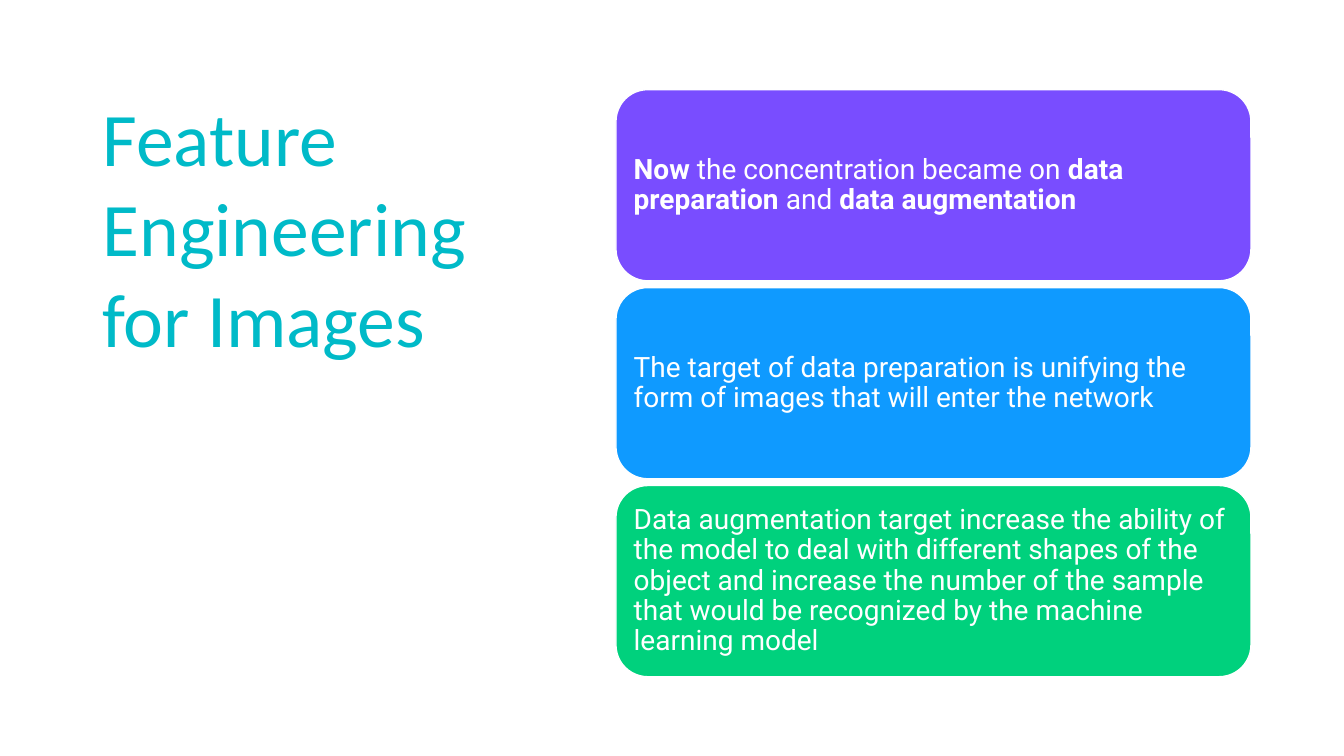
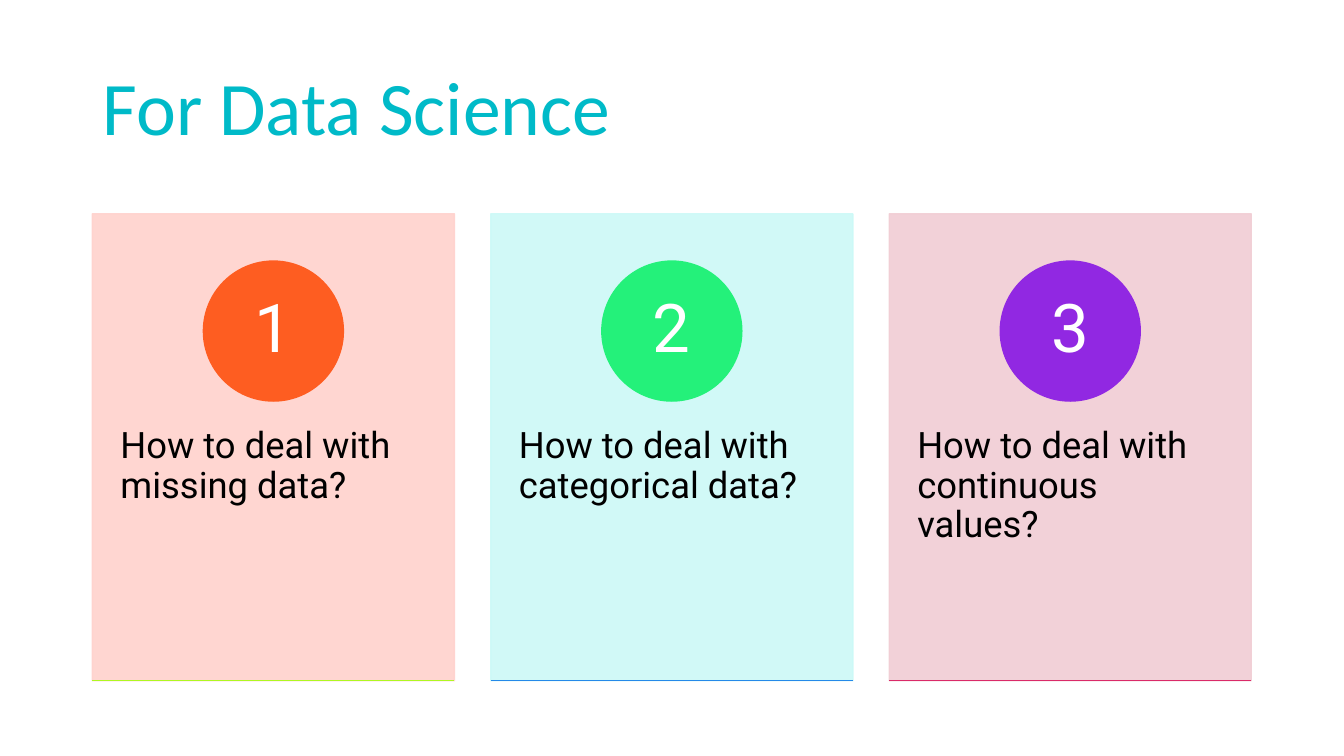
from dataclasses import dataclass
from pptx import Presentation
from pptx.dml.color import RGBColor
from pptx.enum.shapes import MSO_CONNECTOR, MSO_SHAPE
from pptx.enum.text import MSO_ANCHOR, MSO_AUTO_SIZE, PP_ALIGN
from pptx.oxml.ns import qn
from pptx.util import Pt
from lxml.etree import SubElement


@dataclass(frozen=True)
class Theme:
    title: str = "00BAC8"
    white: str = "FFFFFF"
    black: str = "000000"
    head: str = "Calibri"
    body: str = "Roboto"
    big: int = 54
    digit: int = 48
    card: int = 26
    panel: int = 20


THEME = Theme()

# Content: (text, bold) runs with a fill for each panel
IMAGES = "Feature Engineering for Images"
PANELS = [
    ("794DFF", [("Now", True), (" the concentration became on ", False),
                ("data preparation ", True), ("and", False),
                (" data augmentation", True)]),
    ("0F9AFF", [("The target of data preparation is unifying the form of "
                 "images that will enter the network", False)]),
    ("00D17D", [("Data augmentation target increase the ability of the model "
                 "to deal with different shapes of the object and increase "
                 "the number of the sample that would be recognized by the "
                 "machine learning model", False)]),
]
# Content: question, card fill, disc fill, base line
SCIENCE = "For Data Science"
CARDS = [
    ("How to deal with missing data?", "FFD2CD", "FE5D21", "AEF722"),
    ("How to deal with categorical data?", "CCF9F7", "24F17A", "2589E9"),
    ("How to deal with continuous values?", "F1CDD4", "9128E2", "DA2A69"),
]


def color(code):
    return RGBColor.from_string(code)


def assign(item, **values):
    for name, value in values.items():
        setattr(item, name, value)


def fade(shape, part):
    """Make the fill and line of a shape partly clear."""
    for tone in shape._element.spPr.iter(qn("a:srgbClr")):
        SubElement(tone, qn("a:alpha"), val=str(part * 1000))


def add_page(deck, text, box, anchor):
    page = deck.slides.add_slide(deck.slide_layouts[5])
    title = page.shapes.title
    assign(title, **dict(zip(("left", "top", "width", "height"), map(Pt, box))))
    frame = title.text_frame
    assign(frame, text=text, word_wrap=True, vertical_anchor=anchor,
           auto_size=MSO_AUTO_SIZE.NONE)
    para = frame.paragraphs[0]
    para.alignment = PP_ALIGN.LEFT
    assign(para.font, name=THEME.head, size=Pt(THEME.big))
    para.font.color.rgb = color(THEME.title)
    return page


def add_block(page, kind, box, fill, line):
    shape = page.shapes.add_shape(kind, *map(Pt, box))
    shape.shadow.inherit = False
    shape.fill.solid()
    shape.fill.fore_color.rgb = color(fill)
    shape.line.color.rgb = color(line)
    shape.line.width = Pt(1)
    return shape


def write(shape, runs, size, tone, pad, anchor=MSO_ANCHOR.MIDDLE,
          align=PP_ALIGN.LEFT):
    frame = shape.text_frame
    side, top, base = map(Pt, pad)
    assign(frame, word_wrap=True, vertical_anchor=anchor, margin_left=side,
           margin_right=side, margin_top=top, margin_bottom=base)
    para = frame.paragraphs[0]
    assign(para, alignment=align, line_spacing=0.9)
    for text, bold in runs:
        run = para.add_run()
        run.text = text
        assign(run.font, name=THEME.body, size=Pt(size), bold=bold)
        run.font.color.rgb = color(tone)


def add_rule(page, left, right, y, tone):
    rule = page.shapes.add_connector(
        MSO_CONNECTOR.STRAIGHT, *map(Pt, (left, y, right, y)))
    rule.line.color.rgb = color(tone)
    rule.line.width = Pt(1)
    SubElement(rule._element.spPr, qn("a:effectLst"))


def build_images(deck):
    page = add_page(deck, IMAGES, (66, 61, 317.5, 486), MSO_ANCHOR.TOP)
    left, top, wide, high, gap = 440, 64, 453.6, 136.6, 4.8
    for i, (fill, runs) in enumerate(PANELS):
        box = left, top + i * (high + gap), wide, high
        panel = add_block(page, MSO_SHAPE.ROUNDED_RECTANGLE, box, fill,
                          THEME.white)
        write(panel, runs, THEME.panel, THEME.white, (6, 6, 6))


def build_science(deck):
    page = add_page(deck, SCIENCE, (66, 29, 840, 82), MSO_ANCHOR.BOTTOM)
    left, top, wide, high, gap = 66, 152.7, 258.6, 333.6, 26
    disc, drop = 100, 33.8
    for i, (text, fill, spot, base) in enumerate(CARDS):
        x = left + i * (wide + gap)
        # Card with its question
        card = add_block(page, MSO_SHAPE.RECTANGLE, (x, top, wide, high),
                         fill, fill)
        fade(card, 90)
        write(card, [(text, False)], THEME.card, THEME.black, (20, 152.6, 26),
              MSO_ANCHOR.TOP)
        # Numbered disc
        box = x + (wide - disc) / 2, top + drop, disc, disc
        dot = add_block(page, MSO_SHAPE.OVAL, box, spot, spot)
        write(dot, [(str(i + 1), False)], THEME.digit, THEME.white, (8, 1, 1),
              align=PP_ALIGN.CENTER)
        add_rule(page, x, x + wide, top + high, base)


def main():
    deck = Presentation()
    assign(deck, slide_width=Pt(960), slide_height=Pt(540))
    build_images(deck)
    build_science(deck)
    deck.save("out.pptx")


if __name__ == "__main__":
    main()
